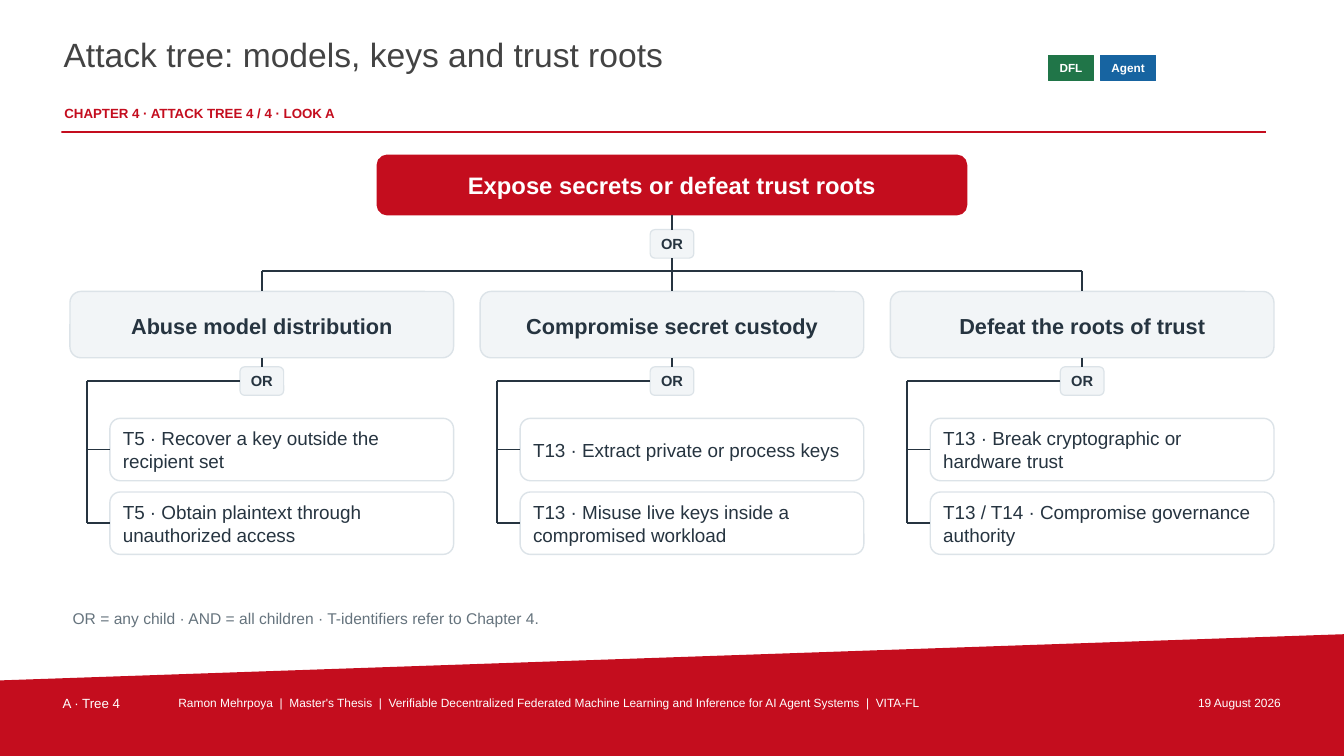
from lxml import etree
from pptx import Presentation
from pptx.dml.color import RGBColor
from pptx.enum.shapes import MSO_CONNECTOR, MSO_SHAPE
from pptx.enum.text import MSO_ANCHOR, PP_ALIGN
from pptx.oxml.ns import qn
from pptx.util import Pt

LEFT, CENTER, RIGHT = PP_ALIGN.LEFT, PP_ALIGN.CENTER, PP_ALIGN.RIGHT
TOP, MIDDLE = MSO_ANCHOR.TOP, MSO_ANCHOR.MIDDLE
RECT, ROUNDED = MSO_SHAPE.RECTANGLE, MSO_SHAPE.ROUNDED_RECTANGLE
STRAIGHT = MSO_CONNECTOR.STRAIGHT
SIDE_TOP, SIDE_LEFT, SIDE_BOTTOM = 0, 1, 2

COLORS = {
    "red": "C40D1E", "white": "FFFFFF", "title": "434343", "ink": "263440",
    "panel": "F2F5F7", "border": "DCE3E8", "muted": "65737D",
    "green": "207548", "blue": "1764A1",
}
COLORS = {name: RGBColor.from_string(value) for name, value in COLORS.items()}

prs = Presentation()
prs.slide_width, prs.slide_height = Pt(960), Pt(540)
slide = prs.slides.add_slide(prs.slide_layouts[5])
shapes = slide.shapes


def write(shape, text, size, color, bold=False, align=LEFT, anchor=TOP, insets=(1.44,) * 4):
    """Fill a shape with one paragraph; insets run left, top, right, bottom."""
    frame = shape.text_frame
    frame.word_wrap = True
    frame.vertical_anchor = anchor
    (frame.margin_left, frame.margin_top,
     frame.margin_right, frame.margin_bottom) = [Pt(inset) for inset in insets]
    paragraph = frame.paragraphs[0]
    paragraph.text = text
    paragraph.alignment = align
    font = paragraph.font
    font.name, font.size, font.bold = "Arial", Pt(size), bold
    font.color.rgb = COLORS[color]


def add_box(kind, left, top, width, height, fill, border, weight=1):
    box = shapes.add_shape(kind, Pt(left), Pt(top), Pt(width), Pt(height))
    box.shadow.inherit = False
    box.fill.solid()
    box.fill.fore_color.rgb = COLORS[fill]
    box.line.color.rgb = COLORS[border]
    box.line.width = Pt(weight)
    return box


# Slanted footer band
outline = shapes.build_freeform(Pt(0), Pt(486))
outline.add_line_segments([(Pt(960), Pt(453)), (Pt(960), Pt(540)), (Pt(0), Pt(540))])
footer_band = outline.convert_to_shape()
footer_band.shadow.inherit = False
footer_band.fill.solid()
footer_band.fill.fore_color.rgb = COLORS["red"]
footer_band.line.fill.background()

# Title and header rule
title = shapes.title
title.left, title.top, title.width, title.height = Pt(44), Pt(23), Pt(695), Pt(44.6)
write(title, "Attack tree: models, keys and trust roots", 24, "title")
header_rule = add_box(RECT, 43.9, 93.6, 860.4, 1.4, "red", "red")
header_rule.line.fill.background()

# Plain text lines: left, top, width, height, text, size, colour, bold, alignment
footer = "  |  ".join([
    "Ramon Mehrpoya", "Master's Thesis",
    "Verifiable Decentralized Federated Machine Learning and Inference for AI Agent Systems",
    "VITA-FL",
])
captions = [
    (44.6, 73.4, 698, 16, "CHAPTER 4 · ATTACK TREE 4 / 4 · LOOK A", 9.5, "red", True, LEFT),
    (43.2, 495.4, 79, 16, "A · Tree 4", 9.5, "white", False, LEFT),
    (126, 495.4, 673, 16, footer, 8.5, "white", False, LEFT),
    (806.4, 495.4, 110, 16, "19 August 2026", 8.5, "white", False, RIGHT),
    (50.4, 433.5, 857, 16, "OR = any child · AND = all children · T-identifiers refer to Chapter 4.",
     11.1, "muted", False, LEFT),
]
for left, top, width, height, text, size, color, bold, align in captions:
    caption = shapes.add_textbox(Pt(left), Pt(top), Pt(width), Pt(height))
    write(caption, text, size, color, bold, align)

# Badges
for left, width, label, color in [(748.8, 32.4, "DFL", "green"), (786, 39.6, "Agent", "blue")]:
    badge = add_box(RECT, left, 39.6, width, 18, color, color, 0.55)
    write(badge, label, 8.4, "white", True, CENTER, MIDDLE, (0, 0, 0, 0))

# Attack tree
CENTERS = [187, 480, 773]
BRANCH_TOP, BRANCH_WIDTH, BRANCH_HEIGHT = 208.2, 274, 47.4
LEAF_WIDTH, LEAF_HEIGHT, LEAF_TOPS = 245.5, 44.6, [298.8, 351.4]
GATE_WIDTH, GATE_HEIGHT, ROOT_GATE_TOP, BRANCH_GATE_TOP = 31.2, 20.4, 164, 262
BUS_Y = 193.5
SPINE_OFFSET = 125
branches = [
    ("Abuse model distribution", [
        "T5 · Recover a key outside the recipient set",
        "T5 · Obtain plaintext through unauthorized access"]),
    ("Compromise secret custody", [
        "T13 · Extract private or process keys",
        "T13 · Misuse live keys inside a compromised workload"]),
    ("Defeat the roots of trust", [
        "T13 · Break cryptographic or hardware trust",
        "T13 / T14 · Compromise governance authority"]),
]

root = add_box(ROUNDED, 269.5, 110.9, 421, 42.5, "red", "red")
write(root, "Expose secrets or defeat trust roots", 17, "white", True, CENTER, MIDDLE)

gates = []
for center, top in [(480, ROOT_GATE_TOP)] + [(center, BRANCH_GATE_TOP) for center in CENTERS]:
    gate = add_box(ROUNDED, center - GATE_WIDTH / 2, top, GATE_WIDTH, GATE_HEIGHT,
                   "panel", "border", 0.85)
    write(gate, "OR", 10.5, "ink", True, CENTER, MIDDLE, (0, 0, 0, 0))
    gates.append(gate)
root_gate, *branch_gates = gates

# Each link: start point, end point, joined start (shape, side), joined end (shape, side)
root_gate_bottom = ROOT_GATE_TOP + GATE_HEIGHT
links = [
    ((480, 153.4), (480, ROOT_GATE_TOP), (root, SIDE_BOTTOM), (root_gate, SIDE_TOP)),
    ((480, root_gate_bottom), (480, BUS_Y), (root_gate, SIDE_BOTTOM), None),
    ((CENTERS[0], BUS_Y), (CENTERS[-1], BUS_Y), None, None),
]
for center, gate, (goal, threats) in zip(CENTERS, branch_gates, branches):
    branch = add_box(ROUNDED, center - BRANCH_WIDTH / 2, BRANCH_TOP, BRANCH_WIDTH,
                     BRANCH_HEIGHT, "panel", "border")
    write(branch, goal, 15.5, "ink", True, CENTER, MIDDLE, (10, 2, 10, 0))
    spine_x = center - SPINE_OFFSET
    gate_y = BRANCH_GATE_TOP + GATE_HEIGHT / 2
    spine_end = LEAF_TOPS[-1] + LEAF_HEIGHT / 2
    links += [
        ((center, BUS_Y), (center, BRANCH_TOP), None, (branch, SIDE_TOP)),
        ((center, BRANCH_TOP + BRANCH_HEIGHT), (center, BRANCH_GATE_TOP),
         (branch, SIDE_BOTTOM), (gate, SIDE_TOP)),
        ((center - GATE_WIDTH / 2, gate_y), (spine_x, gate_y), (gate, SIDE_LEFT), None),
        ((spine_x, gate_y), (spine_x, spine_end), None, None),
    ]
    leaf_left = center + BRANCH_WIDTH / 2 - LEAF_WIDTH
    for top, threat in zip(LEAF_TOPS, threats):
        leaf = add_box(ROUNDED, leaf_left, top, LEAF_WIDTH, LEAF_HEIGHT, "white", "border")
        write(leaf, threat, 13.5, "ink", False, LEFT, MIDDLE, (7.2, 0, 7.2, 0))
        leaf_y = top + LEAF_HEIGHT / 2
        links.append(((spine_x, leaf_y), (leaf_left, leaf_y), None, (leaf, SIDE_LEFT)))

for start, end, joined_start, joined_end in links:
    link = shapes.add_connector(STRAIGHT, *[Pt(value) for value in start + end])
    link.line.color.rgb = COLORS["ink"]
    link.line.width = Pt(1.3)
    etree.SubElement(link._element.spPr, qn("a:effectLst"))
    if joined_start:
        link.begin_connect(*joined_start)
    if joined_end:
        link.end_connect(*joined_end)

prs.save("out.pptx")
